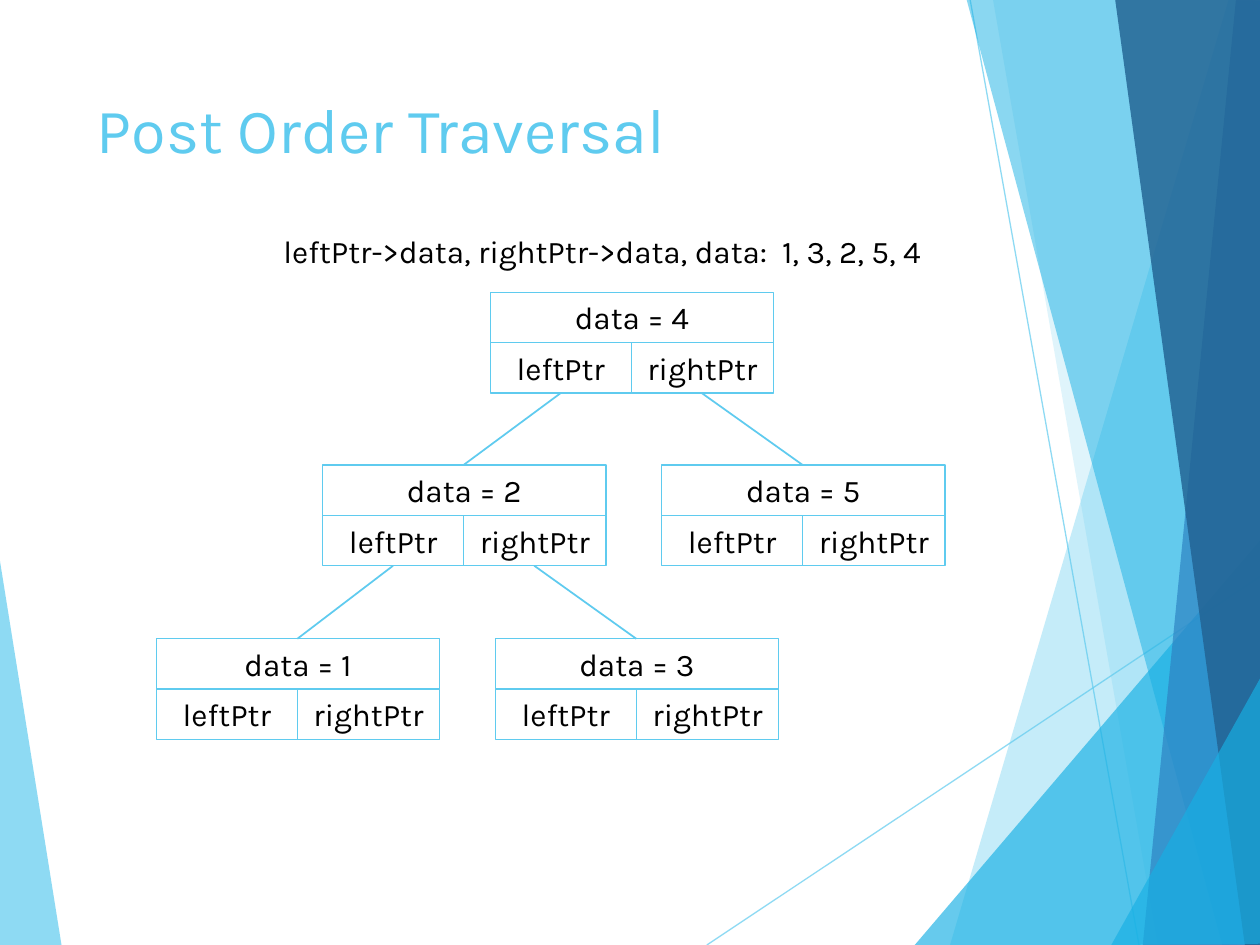
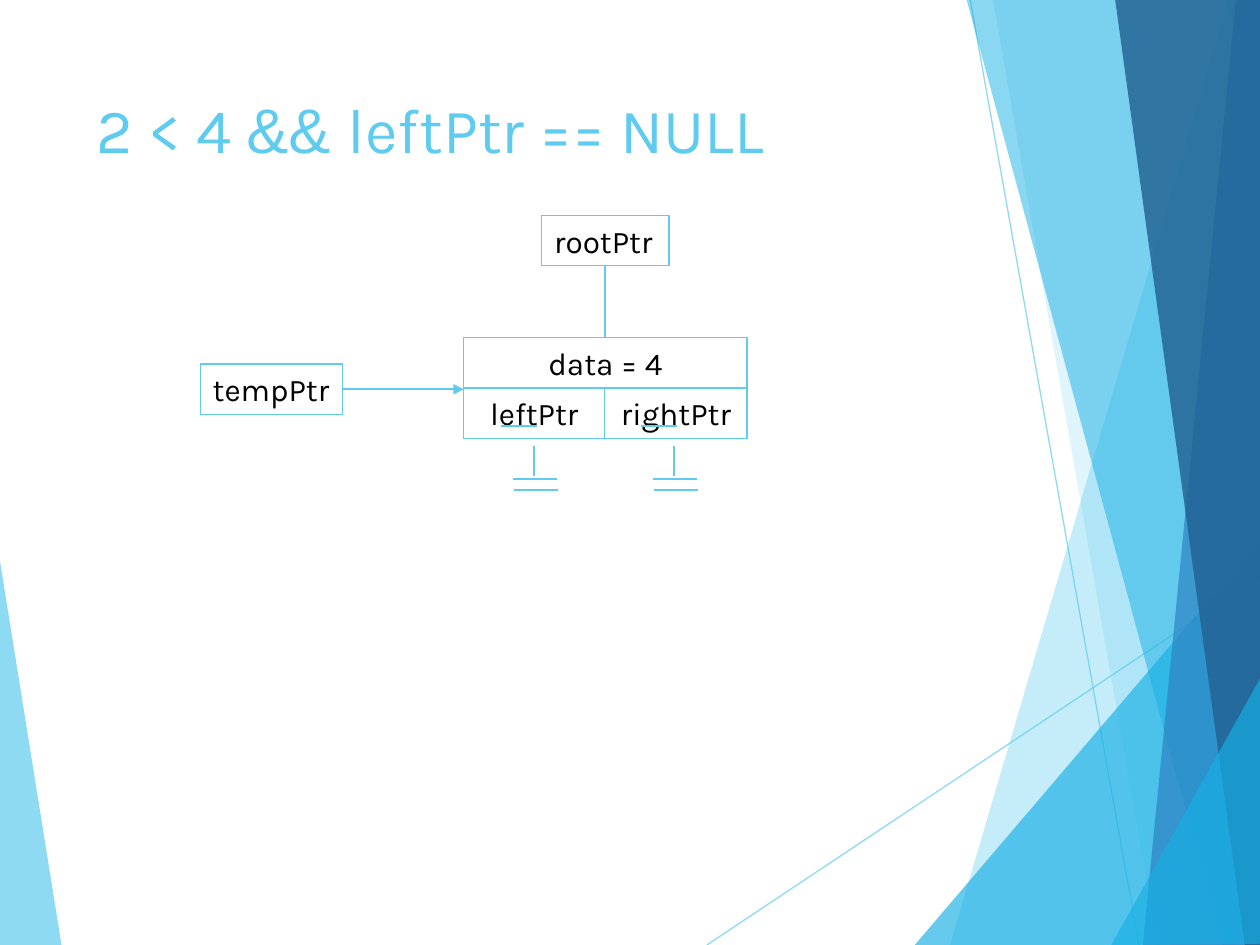
from typing import NamedTuple

from lxml import etree
from pptx import Presentation
from pptx.dml.color import RGBColor
from pptx.enum.shapes import MSO_CONNECTOR
from pptx.enum.text import MSO_ANCHOR, MSO_AUTO_SIZE, PP_ALIGN
from pptx.oxml.ns import qn
from pptx.util import Emu, Pt

PX = 9144  # EMU in one px, 100 px to the inch
STRAIGHT = MSO_CONNECTOR.STRAIGHT
TOP = MSO_ANCHOR.TOP
GROW = MSO_AUTO_SIZE.SHAPE_TO_FIT_TEXT
FIXED = MSO_AUTO_SIZE.NONE
LEFT, CENTER = PP_ALIGN.LEFT, PP_ALIGN.CENTER

SKY, CYAN, BLUE, NAVY, BLACK = "5FCBEF", "17B0E4", "2E83C3", "226292", "000000"
FONT, SYMBOL_FONT = "Karla", "Arial"
TITLE_SIZE, LABEL_SIZE = 36, 18
BOX_LINE, LINK_LINE = 0.75, 1
ROW = 40
NODE_WIDTH = 225
HALF = 112
QUARTER = HALF // 2


class Span(NamedTuple):
    text: str
    font: str = FONT


class Rect(NamedTuple):
    left: int
    top: int
    width: int
    height: int = ROW


class Facet(NamedTuple):
    color: str
    opacity: int
    points: list[tuple[int, int]]


class Line(NamedTuple):
    x1: int
    y1: int
    x2: int
    y2: int


class Node(NamedTuple):
    value: int
    left: int
    top: int


TITLE_BOX = Rect(67, 67, 694, 144)
LEFT_FACET = Facet(SKY, 70, [(-1, 439), (49, 751), (-1, 750)])
FACET_LINES = [Line(561, 750, 1001, 457), Line(770, 0, 904, 750)]
RIGHT_FACETS = [
    Facet(SKY, 36, [(975, 0), (754, 750), (1002, 751), (1001, 1)]),
    Facet(SKY, 20, [(788, -1), (919, 750), (1001, 750), (1001, -1)]),
    Facet(CYAN, 66, [(726, 750), (1000, 429), (1001, 750)]),
    Facet(CYAN, 50, [(767, -1), (970, 750), (1001, 749), (1001, -1)]),
    Facet(BLUE, 70, [(981, -1), (907, 750), (1001, 750), (1000, -1)]),
    Facet(NAVY, 82, [(885, -1), (988, 750), (1002, 750), (1000, -1)]),
    Facet(CYAN, 66, [(882, 750), (1002, 535), (1002, 749)]),
]

TREE = {node.value: node for node in (
    Node(1, 124, 507), Node(3, 393, 507), Node(2, 256, 369),
    Node(5, 525, 369), Node(4, 389, 232))}
CHILDREN = {2: (1, 3), 4: (2, 5)}

# Strokes of a null pointer, relative to its node
GROUND = [Line(30, 70, 58, 70), Line(74, 112, 39, 112),
          Line(75, 121, 40, 121), Line(56, 86, 56, 110)]
GROUND_STEP = 111


def rgb(color: str) -> RGBColor:
    return RGBColor.from_string(color)


def set_opacity(shape, percent: int) -> None:
    for color in shape._element.spPr.iter(qn("a:srgbClr")):
        etree.SubElement(color, qn("a:alpha"), val=str(percent * 1000))


def draw_facet(page, facet: Facet) -> None:
    builder = page.shapes.build_freeform(*facet.points[0], scale=PX)
    builder.add_line_segments(facet.points[1:], close=True)
    shape = builder.convert_to_shape()
    shape.shadow.inherit = False
    shape.fill.solid()
    shape.fill.fore_color.rgb = rgb(facet.color)
    shape.line.fill.background()
    set_opacity(shape, facet.opacity)


def draw_line(page, line: Line, width: float = LINK_LINE, arrow: bool = False):
    connector = page.shapes.add_connector(STRAIGHT, *(Emu(v * PX) for v in line))
    connector.line.width = Pt(width)
    connector.line.color.rgb = rgb(SKY)
    properties = connector._element.spPr
    if arrow:
        etree.SubElement(properties.find(qn("a:ln")), qn("a:tailEnd"), type="triangle")
    etree.SubElement(properties, qn("a:effectLst"))
    return connector


def draw_text(page, rect: Rect, spans: list[Span], size: int, color: str,
              wrap: bool = True, align=LEFT, auto_size=GROW):
    box = page.shapes.add_textbox(*(Emu(v * PX) for v in rect))
    frame = box.text_frame
    frame.word_wrap = wrap
    frame.auto_size = auto_size
    frame.vertical_anchor = TOP
    para = frame.paragraphs[0]
    para.alignment = align
    for span in spans:
        run = para.add_run()
        run.text = span.text
        run.font.name = span.font
        run.font.size = Pt(size)
        run.font.color.rgb = rgb(color)
    return box


def draw_label(page, rect: Rect, text: str, wrap: bool = True) -> None:
    """Draw an outlined box; an unwrapped one hugs its text."""
    box = draw_text(page, rect, [Span(text)], LABEL_SIZE, BLACK, wrap,
                    CENTER if wrap else LEFT)
    box.line.width = Pt(BOX_LINE)
    box.line.color.rgb = rgb(SKY)


def draw_node(page, node: Node) -> None:
    pointer_top = node.top + ROW
    draw_label(page, Rect(node.left, pointer_top, HALF), "leftPtr")
    draw_label(page, Rect(node.left + HALF, pointer_top, NODE_WIDTH - HALF), "rightPtr")
    draw_label(page, Rect(node.left, node.top, NODE_WIDTH), f"data = {node.value}")


def add_page(deck, title: list[Span]):
    """Add a blank page with the shared facets and a title."""
    page = deck.slides.add_slide(deck.slide_layouts[6])
    draw_facet(page, LEFT_FACET)
    for line in FACET_LINES:
        set_opacity(draw_line(page, line, BOX_LINE), 70)
    for facet in RIGHT_FACETS:
        draw_facet(page, facet)
    draw_text(page, TITLE_BOX, title, TITLE_SIZE, SKY, auto_size=FIXED)
    return page


def add_traversal_page(deck) -> None:
    page = add_page(deck, [Span("Post Order Traversal")])
    for node in TREE.values():
        draw_node(page, node)
    for parent_value, children in CHILDREN.items():
        parent = TREE[parent_value]
        for side, child_value in enumerate(children):
            child = TREE[child_value]
            draw_line(page, Line(parent.left + QUARTER + side * HALF,
                                 parent.top + 2 * ROW,
                                 child.left + HALF, child.top))
    draw_text(page, Rect(215, 179, 571),
              [Span("leftPtr->data, rightPtr->data, data:  1, 3, 2, 5, 4")],
              LABEL_SIZE, BLACK, wrap=False)


def add_insert_page(deck) -> None:
    page = add_page(deck, [Span("2 < 4 "), Span("&& ", SYMBOL_FONT),
                           Span("leftPtr == NULL")])
    root = Node(4, 368, 268)
    center = root.left + HALF
    pointer_top = root.top + ROW
    draw_label(page, Rect(430, 171, 101), "rootPtr", wrap=False)
    draw_node(page, root)
    draw_line(page, Line(center, 211, center, root.top))
    for side in range(2):
        left = root.left + side * GROUND_STEP
        for stroke in GROUND:
            draw_line(page, Line(left + stroke.x1, root.top + stroke.y1,
                                 left + stroke.x2, root.top + stroke.y2))
    draw_label(page, Rect(159, 289, 113), "tempPtr", wrap=False)
    draw_line(page, Line(272, pointer_top + 1, root.left, pointer_top + 1), arrow=True)


def main() -> None:
    deck = Presentation()
    deck.slide_width = Emu(1000 * PX)
    deck.slide_height = Emu(750 * PX)
    add_traversal_page(deck)
    add_insert_page(deck)
    deck.save("out.pptx")


if __name__ == "__main__":
    main()
